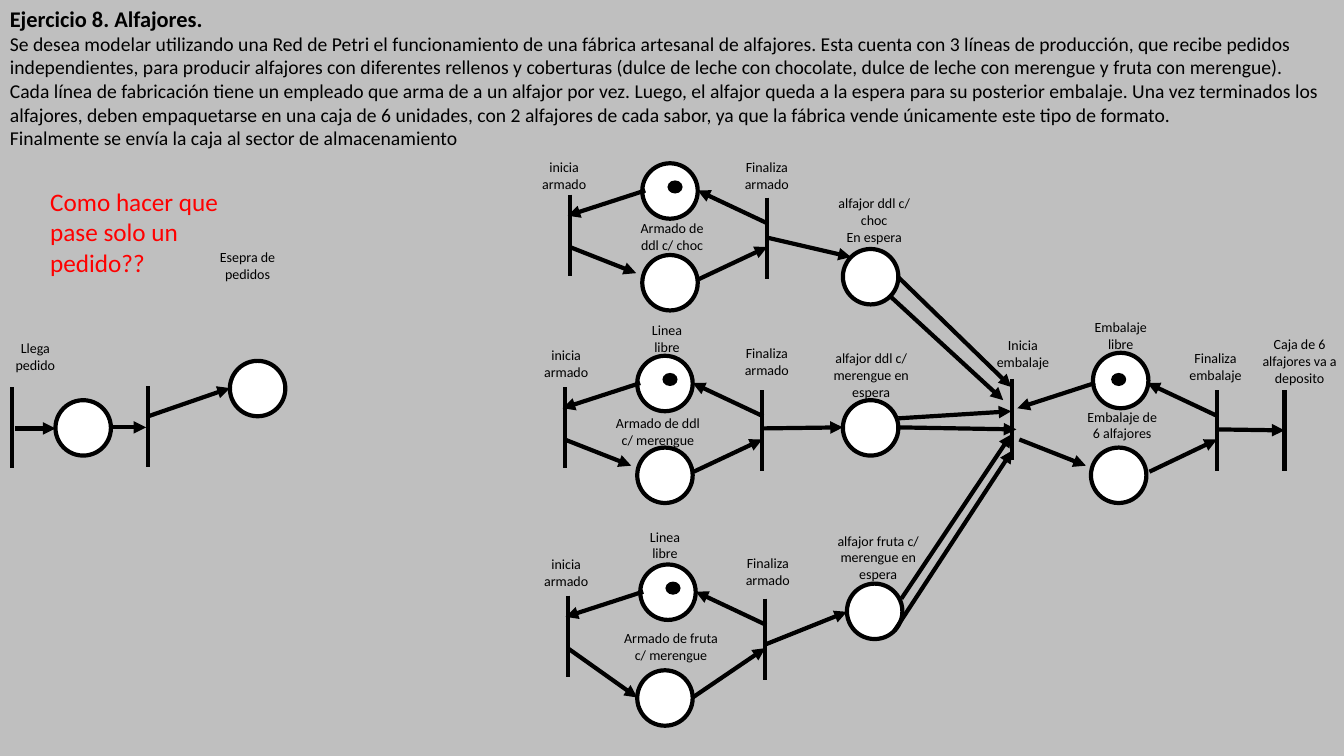
from pptx import Presentation
from pptx.dml.color import RGBColor
from pptx.enum.shapes import MSO_CONNECTOR, MSO_SHAPE
from pptx.enum.text import MSO_AUTO_SIZE, PP_ALIGN
from pptx.oxml import parse_xml
from pptx.oxml.ns import nsdecls
from pptx.util import Inches, Pt

HUES = {"back": "BFBFBF", "ink": "000000", "hole": "FFFFFF", "ask": "FF0000"}
COLS, ROWS = 133.3, 75  # grid of the slide
RING, BAR = 5.5, 8.05   # place width and transition height, in grid units

INTRO = [
    "Se desea modelar utilizando una Red de Petri el funcionamiento de una fábrica artesanal de alfajores. "
    "Esta cuenta con 3 líneas de producción, que recibe pedidos independientes, para producir alfajores con "
    "diferentes rellenos y coberturas (dulce de leche con chocolate, dulce de leche con merengue y fruta con merengue).",
    "Cada línea de fabricación tiene un empleado que arma de a un alfajor por vez. Luego, el alfajor queda a la "
    "espera para su posterior embalaje. Una vez terminados los alfajores, deben empaquetarse en una caja de 6 "
    "unidades, con 2 alfajores de cada sabor, ya que la fábrica vende únicamente este tipo de formato.",
    "Finalmente se envía la caja al sector de almacenamiento",
]


def write(par, text, size=10, hue="ink", bold=False, font="Calibri"):
    run = par.add_run()
    run.text = text
    run.font.name, run.font.size, run.font.bold = font, Pt(size), bold
    run.font.color.rgb = RGBColor.from_string(HUES[hue])


class Net:
    def __init__(self, deck):
        self.slide = deck.slides.add_slide(deck.slide_layouts[6])
        self.wide, self.high = deck.slide_width, deck.slide_height
        self.thick = Pt(3)
        self.paint(self.slide.background.fill, "back")

    def paint(self, fill, hue):
        fill.solid()
        fill.fore_color.rgb = RGBColor.from_string(HUES[hue])

    def x(self, col):
        return round(self.wide * col / COLS)

    def y(self, row):
        return round(self.high * row / ROWS)

    def disc(self, col, row, wide, high, hue):
        disc = self.slide.shapes.add_shape(
            MSO_SHAPE.OVAL, self.x(col), self.y(row), self.x(wide), self.y(high))
        disc.shadow.inherit = False
        self.paint(disc.fill, hue)
        return disc

    def place(self, col, row):
        line = self.disc(col, row, RING, RING, "hole").line
        self.paint(line.fill, "ink")
        line.width = self.thick

    def token(self, col, row):
        self.disc(col, row, 1.5, 1.3, "ink").line.fill.background()

    def line(self, start, end, head=False):
        wire = self.slide.shapes.add_connector(
            MSO_CONNECTOR.STRAIGHT, self.x(start[0]), self.y(start[1]), self.x(end[0]), self.y(end[1]))
        self.paint(wire.line.fill, "ink")
        wire.line.width = self.thick
        props = wire.element.spPr
        if head:
            props.find(".//{*}ln").append(parse_xml(f'<a:tailEnd {nsdecls("a")} type="triangle"/>'))
        props.append(parse_xml(f'<a:effectLst {nsdecls("a")}/>'))

    def arrow(self, start, end):
        self.line(start, end, head=True)

    def bar(self, col, row):
        self.line((col, row), (col, row + BAR))

    def frame(self, col, row, wide, high):
        box = self.slide.shapes.add_textbox(self.x(col), self.y(row), self.x(wide), self.y(high))
        box.text_frame.word_wrap = True
        box.text_frame.auto_size = MSO_AUTO_SIZE.SHAPE_TO_FIT_TEXT
        return box.text_frame

    def label(self, text, col, row, wide=7.5, high=6.1, align=PP_ALIGN.CENTER, **style):
        frame = self.frame(col, row, wide, high)
        for i, part in enumerate(text.split("\n")):
            par = frame.add_paragraph() if i else frame.paragraphs[0]
            par.alignment = align
            write(par, part, **style)

    def loop(self, col, row, top=(7.2, -3.1), low=(7.2, 6), dot=(9.7, -1.4),
             left=(0, 0), tip=(6.6, 7.8), out=(12.8, 8.4)):
        def at(spot):
            return col + spot[0], row + spot[1]
        self.place(*at(top))
        self.place(*at(low))
        self.token(*at(dot))
        self.bar(*at(left))
        self.bar(*at((19.6, 0.3)))
        for start, end in [((0, 5.2), tip), (out, (19.6, 5.2)),
                           ((19.7, 2.9), (12.7, -0.4)), ((7.5, -0.4), (-0.2, 2.1))]:
            self.arrow(at(start), at(end))


def main():
    deck = Presentation()
    deck.slide_width, deck.slide_height = Inches(13.33), Inches(7.5)
    net = Net(deck)

    # Heading and task
    par = net.frame(0, 0, COLS, 15.5).paragraphs[0]
    write(par, "Ejercicio 8. Alfajores.", size=16, bold=True)
    for text in INTRO:
        par.add_line_break()
        write(par, text, size=14)

    # Places outside the loops: orders, then waiting sweets
    for spot in [(5.5, 39.7), (22.8, 35.8), (83.6, 24.7), (83.6, 39.7), (84, 57.9)]:
        net.place(*spot)

    # Transitions outside the loops
    for spot in [(1.2, 38.4), (14.7, 38.3), (127.4, 38.7)]:
        net.bar(*spot)

    # Three product lines and the packing loop
    net.loop(56.5, 19.3)
    net.loop(56, 38.4)
    net.loop(56.3, 59.1, low=(6.9, 7.4), tip=(6.9, 10.1), out=(12.4, 10.1))
    net.loop(101.1, 38.4, top=(7.3, -3.4), low=(7.1, 6), dot=(9.1, -1.4),
             left=(-0.7, -0.8), out=(12.9, 8.4))

    # Arrows between the parts
    for start, end in [
        ((1.5, 42.5), (5.5, 42.5)), ((11, 42.4), (14.5, 42.4)), ((14.7, 41.3), (22.8, 38.5)),
        ((76.2, 23.6), (84.4, 25.5)), ((75.7, 42.5), (83.6, 42.4)), ((76, 63.9), (84, 60.7)),
        ((88.3, 29.4), (99.5, 39.7)), ((89.1, 27.5), (100.3, 38.4)),
        ((89.1, 42.4), (100.8, 42.6)), ((89.1, 41.5), (100.3, 40.8)),
        ((89.4, 59.4), (100.3, 43.1)), ((88.7, 62.6), (100.4, 44.7)),
        ((120.7, 42.6), (127.4, 42.7)),
    ]:
        net.arrow(start, end)

    # Labels
    for item in [
        ("Llega pedido", -0.3, 33.2, 7.6, 4.4), ("Esepra de pedidos", 20.8, 24.2),
        ("inicia armado", 52.2, 15.2), ("inicia armado", 52.4, 33.9), ("inicia armado", 52.4, 54.6),
        ("Finaliza armado", 72.3, 15.2), ("Finaliza armado", 72.3, 33.7), ("Finaliza armado", 72.4, 54.5),
        ("Linea libre", 62.4, 31.4), ("Linea libre", 62.2, 51.9),
        ("Armado de ddl c/ choc", 62.2, 21.3, 8.9), ("Armado de ddl c/ merengue", 60, 40.6, 10.5),
        ("Armado de fruta c/ merengue", 60.8, 62, 11.5),
        ("alfajor ddl c/ choc\nEn espera", 81.6, 18.8, 10.2),
        ("alfajor ddl c/ merengue en espera", 81, 34.2, 10.8, 7.7),
        ("alfajor fruta c/ merengue en espera", 81.5, 52.3, 11.2, 7.7),
        ("Inicia embalaje", 97.7, 32.9), ("Embalaje libre", 107.4, 31.1),
        ("Embalaje de 6 alfajores", 106.6, 40, 9.4), ("Finaliza embalaje", 116.8, 34.2),
        ("Caja de 6 alfajores va a deposito", 124.1, 32.8, 9.6, 7.7),
    ]:
        net.label(*item)
    net.label("Como hacer que pase solo un pedido??", 4, 18, 21.3, 10.1,
              align=PP_ALIGN.LEFT, size=18, hue="ask")

    deck.save("out.pptx")


if __name__ == "__main__":
    main()
